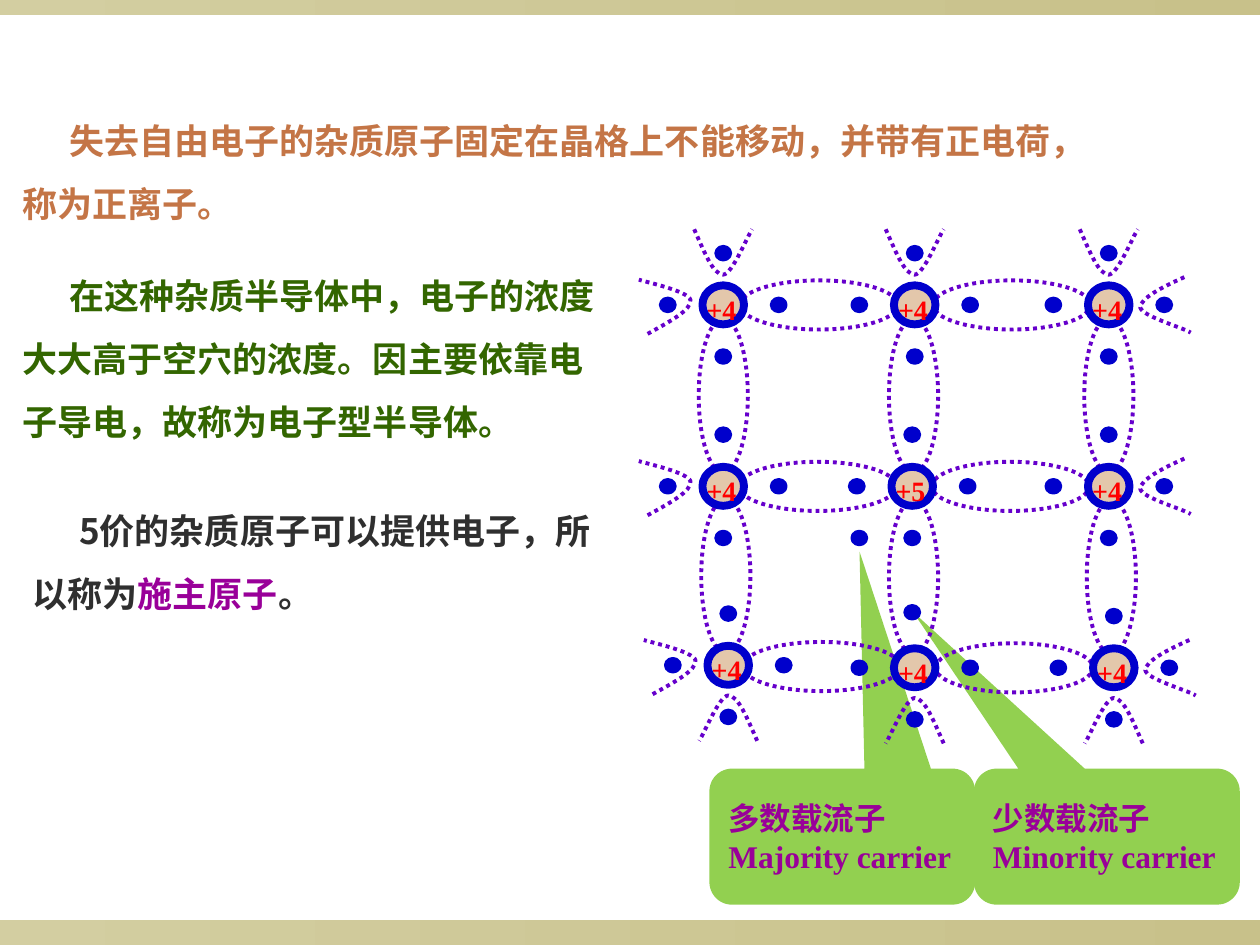
from dataclasses import dataclass

import pptx
import pptx.dml.color
import pptx.enum.dml
import pptx.enum.shapes
import pptx.enum.text
import pptx.oxml
import pptx.oxml.ns
import pptx.util
from pptx.util import Inches


@dataclass(frozen=True)
class Theme:
    latin: str = "Times New Roman"
    chinese: str = "Noto Sans CJK SC"
    body_size: int = 20
    callout_size: int = 18
    charge_size: int = 16
    band_start: str = "D3CEA1"
    band_end: str = "C8C18A"
    brown: str = "C47546"
    green: str = "336600"
    dark: str = "2F2F2F"
    purple: str = "990099"
    callout: str = "92D050"
    bond: str = "6600CC"
    electron: str = "0000CC"
    nucleus: str = "E3C7AB"
    charge: str = "FF0000"


@dataclass(frozen=True)
class Box:
    left: float
    top: float
    width: float
    height: float

    def lengths(self):
        return [Inches(value) for value in (self.left, self.top, self.width, self.height)]


THEME = Theme()
SHAPES = pptx.enum.shapes.MSO_SHAPE

ATOMS = [
    [(0.74, 0.62), (2.26, 0.62), (3.80, 0.62)],
    [(0.74, 2.06), (2.24, 2.06), (3.80, 2.06)],
    [(0.78, 3.48), (2.26, 3.50), (3.84, 3.50)],
]
FREE_ELECTRONS = [(1.82, 2.47), (2.24, 3.06)]
ELECTRON_OFFSETS = {"up": (0, -0.41), "left": (-0.44, 0), "down": (0, 0.41), "right": (0.44, 0)}

UP_CURVE = [(-0.23, -0.60), (-0.15, -0.42), (-0.08, -0.24), (0, -0.24),
            (0.07, -0.24), (0.19, -0.54), (0.23, -0.60)]
OPEN_BONDS = {
    "up": UP_CURVE,
    "down": [(-x, -y) for x, y in UP_CURVE],
    "left": [(-0.60, 0.23), (-0.42, 0.13), (-0.25, 0.04), (-0.26, -0.04),
             (-0.28, -0.11), (-0.61, -0.18), (-0.67, -0.20)],
    "right": [(0.60, -0.22), (0.42, -0.14), (0.25, -0.05), (0.25, 0.02),
              (0.26, 0.09), (0.59, 0.18), (0.65, 0.22)],
}


def color(value):
    return pptx.dml.color.RGBColor.from_string(value)


def format_run(run, font_name, size, value):
    run.font.name = font_name
    run.font.size = pptx.util.Pt(size)
    run.font.bold = True
    run.font.color.rgb = color(value)
    east_asian = pptx.oxml.parse_xml(
        f'<a:ea {pptx.oxml.ns.nsdecls("a")} typeface="{THEME.chinese}"/>')
    run.font._element.find(pptx.oxml.ns.qn("a:latin")).addnext(east_asian)


def add_shape(slide, kind, box, fill=None, line=None, width=0):
    shape = slide.shapes.add_shape(kind, *box.lengths())
    style_shape(shape, fill, line, width)
    return shape


def style_shape(shape, fill, line, width):
    shape.shadow.inherit = False
    if fill:
        shape.fill.solid()
        shape.fill.fore_color.rgb = color(fill)
    else:
        shape.fill.background()
    if line:
        shape.line.color.rgb = color(line)
        shape.line.width = pptx.util.Pt(width)
    else:
        shape.line.fill.background()


def add_band(slide, box):
    band = add_shape(slide, SHAPES.RECTANGLE, box)
    band.fill.gradient()
    band.fill.gradient_angle = 0
    for stop, value in zip(band.fill.gradient_stops, (THEME.band_start, THEME.band_end)):
        stop.color.rgb = color(value)


def add_passage(slide, box, parts):
    text_frame = slide.shapes.add_textbox(*box.lengths()).text_frame
    text_frame.word_wrap = True
    paragraph = text_frame.paragraphs[0]
    paragraph.line_spacing = 1.5
    paragraph._p.get_or_add_pPr().set("indent", str(Inches(0.37)))
    for text, value in parts:
        run = paragraph.add_run()
        run.text = text
        format_run(run, THEME.chinese, THEME.body_size, value)


def add_callout(slide, box, text, pointer):
    callout = add_shape(slide, SHAPES.ROUNDED_RECTANGULAR_CALLOUT, box, THEME.callout)
    callout.adjustments[0], callout.adjustments[1] = pointer
    text_frame = callout.text_frame
    text_frame.word_wrap = True
    text_frame.vertical_anchor = pptx.enum.text.MSO_ANCHOR.MIDDLE
    text_frame.text = text
    paragraph = text_frame.paragraphs[0]
    paragraph.alignment = pptx.enum.text.PP_ALIGN.LEFT
    format_run(paragraph.runs[0], THEME.latin, THEME.callout_size, THEME.purple)


def centered(center, width, height):
    return Box(center[0] - width / 2, center[1] - height / 2, width, height)


def style_bond(shape):
    style_shape(shape, None, THEME.bond, 2.25)
    shape.line.dash_style = pptx.enum.dml.MSO_LINE.ROUND_DOT


def add_bond(slide, first, second, rotation):
    middle = ((first[0] + second[0]) / 2, (first[1] + second[1]) / 2)
    bond = add_shape(slide, SHAPES.OVAL, centered(middle, 1.25 if rotation == 0 else 1.22, 0.39))
    bond.rotation = rotation
    style_bond(bond)


def add_open_bond(slide, center, curve):
    points = [(Inches(center[0] + x), Inches(center[1] + y)) for x, y in curve]
    builder = slide.shapes.build_freeform(*points[0])
    builder.add_line_segments(points[1:], close=False)
    bond = builder.convert_to_shape()
    segments = list(bond._element.iter(pptx.oxml.ns.qn("a:lnTo")))
    for start in range(0, len(segments), 3):
        cubic = pptx.oxml.parse_xml(f'<a:cubicBezTo {pptx.oxml.ns.nsdecls("a")}/>')
        segments[start].addprevious(cubic)
        for segment in segments[start:start + 3]:
            cubic.append(segment[0])
            segment.getparent().remove(segment)
    style_bond(bond)


def add_electron(slide, center):
    add_shape(slide, SHAPES.OVAL, centered(center, 0.11, 0.10),
              THEME.electron, THEME.electron, 2.25)


def add_atom(slide, center, charge, directions):
    add_shape(slide, SHAPES.OVAL, centered(center, 0.33, 0.31),
              THEME.nucleus, THEME.electron, 4.5)
    for direction in directions:
        x, y = ELECTRON_OFFSETS[direction]
        add_electron(slide, (center[0] + x, center[1] + y))
    box = Box(center[0] - 0.23, center[1] - 0.15, 0.54, 0.37)
    text_frame = slide.shapes.add_textbox(*box.lengths()).text_frame
    text_frame.word_wrap = True
    text_frame.text = charge
    format_run(text_frame.paragraphs[0].runs[0], THEME.latin, THEME.charge_size, THEME.charge)


def add_lattice(slide, box):
    atoms = [[(box.left + x, box.top + y) for x, y in row] for row in ATOMS]
    columns = list(zip(*atoms))
    for lines, rotation in ((atoms, 0), (columns, 90)):
        for line in lines:
            for first, second in zip(line, line[1:]):
                add_bond(slide, first, second, rotation)
    edges = {"up": atoms[0], "down": atoms[-1], "left": columns[0], "right": columns[-1]}
    for direction, centers in edges.items():
        for center in centers:
            add_open_bond(slide, center, OPEN_BONDS[direction])
    for row, centers in enumerate(atoms):
        for column, center in enumerate(centers):
            charge = "+5" if (row, column) == (1, 1) else "+4"
            directions = [name for name in ELECTRON_OFFSETS
                          if (row, column, name) != (2, 1, "up")]
            add_atom(slide, center, charge, directions)
    for x, y in FREE_ELECTRONS:
        add_electron(slide, (box.left + x, box.top + y))


def main():
    presentation = pptx.Presentation()
    presentation.slide_width, presentation.slide_height = Inches(10), Inches(7.5)
    slide = presentation.slides.add_slide(presentation.slide_layouts[6])
    add_band(slide, Box(0, 7.3, 10, 0.2))
    add_band(slide, Box(0, 0, 10, 0.12))
    add_callout(slide, Box(5.63, 6.1, 2.11, 1.08), "多数载流子Majority carrier", (0.065, -2.095))
    add_callout(slide, Box(7.73, 6.1, 2.11, 1.08), "少数载流子Minority carrier", (-0.729, -1.651))
    add_passage(slide, Box(0.08, 0.73, 8.83, 1.1), [
        ("失去自由电子的杂质原子固定在晶格上不能移动，并带有正电荷，称为正离子。", THEME.brown)])
    add_passage(slide, Box(0.08, 1.96, 4.84, 1.6), [
        ("在这种杂质半导体中，电子的浓度大大高于空穴的浓度。因主要依靠电子导电，故称为电子型半导体。",
         THEME.green)])
    add_passage(slide, Box(0.16, 3.83, 4.69, 1.1), [
        ("5价的杂质原子可以提供电子，所以称为", THEME.dark),
        ("施主原子", THEME.purple), ("。", THEME.dark)])
    add_lattice(slide, Box(5, 1.8, 4.5, 4.12))
    presentation.save("out.pptx")


if __name__ == "__main__":
    main()
